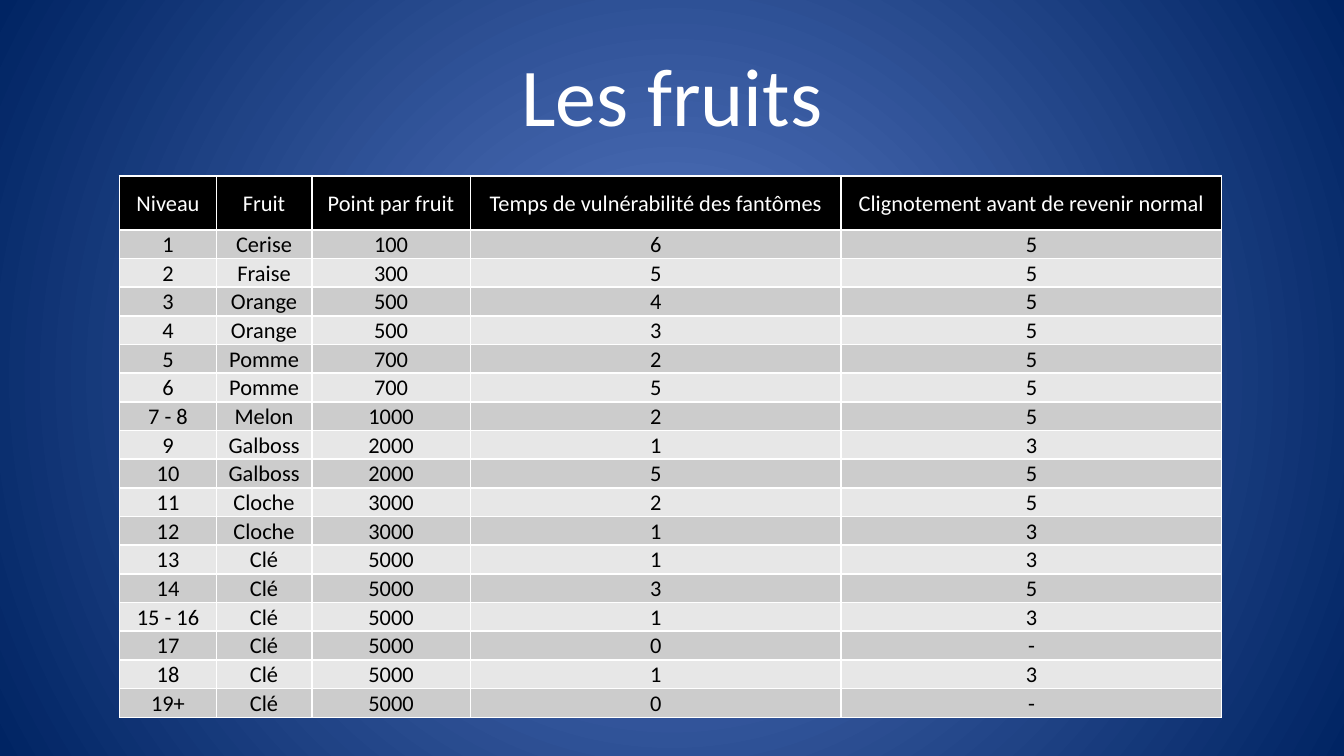
import lxml.etree
import pptx
import pptx.dml.color
import pptx.enum.text
import pptx.oxml.ns
import pptx.util

Inches = pptx.util.Inches
Pt = pptx.util.Pt
RGB = pptx.dml.color.RGBColor.from_string
qn = pptx.oxml.ns.qn
MIDDLE = pptx.enum.text.MSO_ANCHOR.MIDDLE
CENTER = pptx.enum.text.PP_ALIGN.CENTER

COLORS = {
    "glow": "5B7CC6",
    "night": "002463",
    "white": "FFFFFF",
    "black": "000000",
    "odd": "CCCCCC",
    "even": "E7E7E7",
}
CELL_FORMAT = {
    "margin_left": Inches(0.01),
    "margin_top": Inches(0.01),
    "margin_right": Inches(0.01),
    "margin_bottom": 0,
    "vertical_anchor": MIDDLE,
}
TITLE_BOX = {"left": 0.5, "top": 0.23, "width": 9, "height": 0.94}
COLUMN_WIDTHS = [0.72, 0.71, 1.18, 2.76, 2.83]
HEADER_HEIGHT, LEVEL_HEIGHT = 0.4, 0.21

LEVELS = [
    ("Niveau", "Fruit", "Point par fruit",
     "Temps de vulnérabilité des fantômes", "Clignotement avant de revenir normal"),
    ("1", "Cerise", "100", "6", "5"),
    ("2", "Fraise", "300", "5", "5"),
    ("3", "Orange", "500", "4", "5"),
    ("4", "Orange", "500", "3", "5"),
    ("5", "Pomme", "700", "2", "5"),
    ("6", "Pomme", "700", "5", "5"),
    ("7 - 8", "Melon", "1000", "2", "5"),
    ("9", "Galboss", "2000", "1", "3"),
    ("10", "Galboss", "2000", "5", "5"),
    ("11", "Cloche", "3000", "2", "5"),
    ("12", "Cloche", "3000", "1", "3"),
    ("13", "Clé", "5000", "1", "3"),
    ("14", "Clé", "5000", "3", "5"),
    ("15 - 16", "Clé", "5000", "1", "3"),
    ("17", "Clé", "5000", "0", "-"),
    ("18", "Clé", "5000", "1", "3"),
    ("19+", "Clé", "5000", "0", "-"),
]


def write(frame, text, size, color):
    frame.text = text
    paragraph = frame.paragraphs[0]
    paragraph.alignment = CENTER
    font = paragraph.runs[0].font
    font.name = "Calibri"
    font.size = Pt(size)
    font.bold = False
    font.color.rgb = RGB(COLORS[color])


def add_borders(cell):
    properties = cell._tc.get_or_add_tcPr()
    for side in "LRTB":
        line = lxml.etree.SubElement(properties, qn(f"a:ln{side}"), w=str(Pt(1)))
        fill = lxml.etree.SubElement(line, qn("a:solidFill"))
        lxml.etree.SubElement(fill, qn("a:srgbClr"), val=COLORS["white"])


deck = pptx.Presentation()
deck.slide_width = Inches(10)
deck.slide_height = Inches(10 * 9 / 16)
slide = deck.slides.add_slide(deck.slide_layouts[5])

backdrop = slide.background.fill
backdrop.gradient()
for stop, position, color in zip(backdrop.gradient_stops, (0, 1), ("glow", "night")):
    stop.position = position
    stop.color.rgb = RGB(COLORS[color])
gradient = next(slide.element.iter(qn("a:gradFill")))
gradient.remove(gradient.find(qn("a:lin")))
circle = lxml.etree.SubElement(gradient, qn("a:path"), path="circle")
lxml.etree.SubElement(circle, qn("a:fillToRect"), l="50000", t="50000", r="50000", b="50000")

title = slide.shapes.title
for side, length in TITLE_BOX.items():
    setattr(title, side, Inches(length))
title.text_frame.vertical_anchor = MIDDLE
write(title.text_frame, "Les fruits", 44, "white")

fruits = slide.shapes.add_table(
    len(LEVELS), len(COLUMN_WIDTHS), Inches(0.89), Inches(1.31), Inches(sum(COLUMN_WIDTHS)),
    Inches(HEADER_HEIGHT + LEVEL_HEIGHT * (len(LEVELS) - 1))).table
for column, width in zip(fruits.columns, COLUMN_WIDTHS):
    column.width = Inches(width)

for index, (row, level) in enumerate(zip(fruits.rows, LEVELS)):
    header = index == 0
    row.height = Inches(HEADER_HEIGHT if header else LEVEL_HEIGHT)
    band = "black" if header else "odd" if index % 2 else "even"
    for cell, text in zip(row.cells, level):
        for attribute, value in CELL_FORMAT.items():
            setattr(cell, attribute, value)
        write(cell.text_frame, text, 12, "white" if header else "black")
        add_borders(cell)
        cell.fill.solid()
        cell.fill.fore_color.rgb = RGB(COLORS[band])

deck.save("out.pptx")
